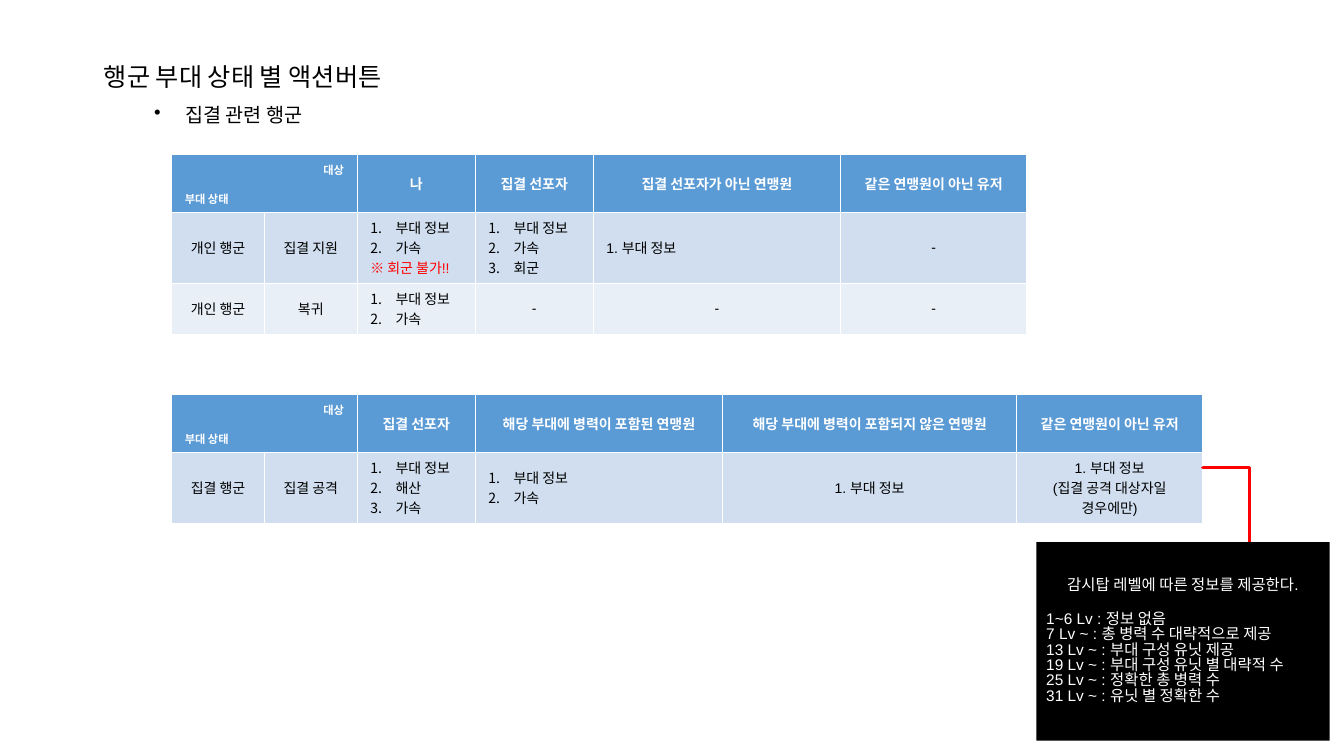
from dataclasses import dataclass

from lxml import etree
from pptx import Presentation
from pptx import util as u
from pptx.dml.color import RGBColor
from pptx.enum import shapes, text
from pptx.oxml import ns

Pt = u.Pt
LEFT, MID, RIGHT = text.PP_ALIGN.LEFT, text.PP_ALIGN.CENTER, text.PP_ALIGN.RIGHT


@dataclass(frozen=True)
class Theme:
    face: str = "Arial"
    black: str = "000000"
    white: str = "FFFFFF"
    red: str = "FF0000"
    head: str = "5B9BD5"
    bands: tuple = ("D0DEEF", "E9EFF7")
    title: int = 18
    sub: int = 14
    note: int = 11
    cell: int = 10
    small: int = 8


T = Theme()
HEAD = 41.3
HEIGHTS = {2: 36.5, 3: 50.6}
MARCH = {
    "cols": (66.3, 66.3, 84.3, 84.3, 176.7, 133),
    "heads": ("나", "집결 선포자", "집결 선포자가 아닌 연맹원", "같은 연맹원이 아닌 유저"),
    "rows": (
        (3, ("개인 행군", "집결 지원", ["부대 정보", "가속", "※ 회군 불가!!"],
             ["부대 정보", "가속", "회군"], ["1. 부대 정보"], "-")),
        (2, ("개인 행군", "복귀", ["부대 정보", "가속"], "-", "-", "-")),
    ),
}
RALLY = {
    "cols": (66.3, 66.3, 84.3, 176.7, 210, 133),
    "heads": ("집결 선포자", "해당 부대에 병력이 포함된 연맹원",
              "해당 부대에 병력이 포함되지 않은 연맹원", "같은 연맹원이 아닌 유저"),
    "rows": (
        (3, ("집결 행군", "집결 공격", ["부대 정보", "해산", "가속"], ["부대 정보", "가속"],
             "1. 부대 정보", "1. 부대 정보\n(집결 공격 대상자일 경우에만)")),
    ),
}
LEVELS = (
    "1~6 Lv : 정보 없음",
    "7 Lv ~ : 총 병력 수 대략적으로 제공",
    "13 Lv ~ : 부대 구성 유닛 제공",
    "19 Lv ~ : 부대 구성 유닛 별 대략적 수",
    "25 Lv ~ : 정확한 총 병력 수",
    "31 Lv ~ : 유닛 별 정확한 수",
)


def paint(fill, color):
    fill.solid()
    fill.fore_color.rgb = RGBColor.from_string(color)


def style(para, size, color, align=LEFT, bold=False):
    para.alignment = align
    font = para.font
    font.name, font.size, font.bold = T.face, Pt(size), bold
    font.color.rgb = RGBColor.from_string(color)


def bullet(para, tag, left, hang, **attrs):
    props = para._p.get_or_add_pPr()
    props.set("marL", str(Pt(left)))
    props.set("indent", str(-Pt(hang)))
    etree.SubElement(props, ns.qn(tag), attrs)


def lines(frame, items):
    frame.text = "\n".join(items)
    return frame.paragraphs


def heading(slide, left, top, width):
    title = slide.shapes.title
    title.left, title.top, title.width, title.height = Pt(left), Pt(top), Pt(width), Pt(30)
    sub = slide.shapes.add_textbox(Pt(left), Pt(top + 30.5), Pt(width), Pt(24))
    for shape, words, size in ((title, "행군 부대 상태 별 액션버튼", T.title),
                               (sub, "집결 관련 행군", T.sub)):
        frame = shape.text_frame
        frame.text = words
        frame.word_wrap = True
        frame.auto_size = text.MSO_AUTO_SIZE.NONE
        frame.vertical_anchor = text.MSO_ANCHOR.MIDDLE
        para = frame.paragraphs[0]
        if shape is sub:
            bullet(para, "a:buChar", 58.3, 22.3, char="•")
        style(para, size, T.black)


def fill_cell(cell, words, color, ink, bold=False):
    paint(cell.fill, color)
    cell.margin_left = cell.margin_right = Pt(9.4)
    cell.vertical_anchor = text.MSO_ANCHOR.MIDDLE
    listed = isinstance(words, list)
    for para in lines(cell.text_frame, words if listed else [words]):
        if listed and para.text[0] not in "※1":
            bullet(para, "a:buAutoNum", 18, 18, type="arabicPeriod")
        shade = T.red if para.text.startswith("※") else ink
        style(para, T.cell, shade, LEFT if listed else MID, bold)


def corner(grid):
    cell = grid.cell(0, 0)
    cell.merge(grid.cell(0, 1))
    paint(cell.fill, T.head)
    cell.margin_left = cell.margin_right = Pt(9.4)
    cell.margin_top = Pt(5)
    goal, state = lines(cell.text_frame, ("대상", "부대 상태"))
    state.space_before = Pt(9)
    style(goal, T.small, T.white, RIGHT, True)
    style(state, T.small, T.white, LEFT, True)


def matrix(slide, data, left, top):
    cols, rows = data["cols"], data["rows"]
    tall = [HEAD] + [HEIGHTS[count] for count, _ in rows]
    grid = slide.shapes.add_table(len(tall), len(cols), Pt(left), Pt(top),
                                  Pt(sum(cols)), Pt(sum(tall))).table
    for col, width in zip(grid.columns, cols):
        col.width = Pt(width)
    for row, height in zip(grid.rows, tall):
        row.height = Pt(height)
    corner(grid)
    for c, words in enumerate(data["heads"], 2):
        fill_cell(grid.cell(0, c), words, T.head, T.white, True)
    for r, (_, row) in enumerate(rows, 1):
        for c, words in enumerate(row):
            fill_cell(grid.cell(r, c), words, T.bands[(r - 1) % 2], T.black)


def elbow(slide, left, top, width, height):
    x, y = left + width / 2, top + height / 2
    link = slide.shapes.add_connector(
        shapes.MSO_CONNECTOR.ELBOW, Pt(x + height / 2), Pt(y - width / 2),
        Pt(x - height / 2), Pt(y + width / 2))
    paint(link.line.fill, T.red)
    link.line.width = Pt(2)
    props = link._element.spPr
    props.find(ns.qn("a:xfrm")).set("rot", "16200000")
    guides = props.find(ns.qn("a:prstGeom")).find(ns.qn("a:avLst"))
    etree.SubElement(guides, ns.qn("a:gd"), name="adj1", fmla="val 1300")
    etree.SubElement(props, ns.qn("a:effectLst"))


def callout(slide, left, top, width, height):
    box = slide.shapes.add_shape(shapes.MSO_SHAPE.RECTANGLE, Pt(left), Pt(top),
                                 Pt(width), Pt(height))
    box.shadow.inherit = False
    paint(box.fill, T.black)
    box.line.fill.background()
    frame = box.text_frame
    frame.word_wrap = True
    frame.vertical_anchor = text.MSO_ANCHOR.MIDDLE
    paras = lines(frame, ("감시탑 레벨에 따른 정보를 제공한다.",) + LEVELS)
    for i, para in enumerate(paras):
        para.line_spacing = 0.83
        if i == 1:
            para.space_before = Pt(13)
        style(para, T.note, T.white, LEFT if i else MID)


def main():
    deck = Presentation()
    deck.slide_width, deck.slide_height = Pt(960), Pt(540)
    slide = deck.slides.add_slide(deck.slide_layouts[5])
    heading(slide, 67, 39.3, 247)
    matrix(slide, MARCH, 122.6, 110.4)
    matrix(slide, RALLY, 122.6, 281.8)
    elbow(slide, 859, 333.4, 33.8, 54)
    callout(slide, 740.2, 387.2, 209.5, 141.8)
    deck.save("out.pptx")


if __name__ == "__main__":
    main()
